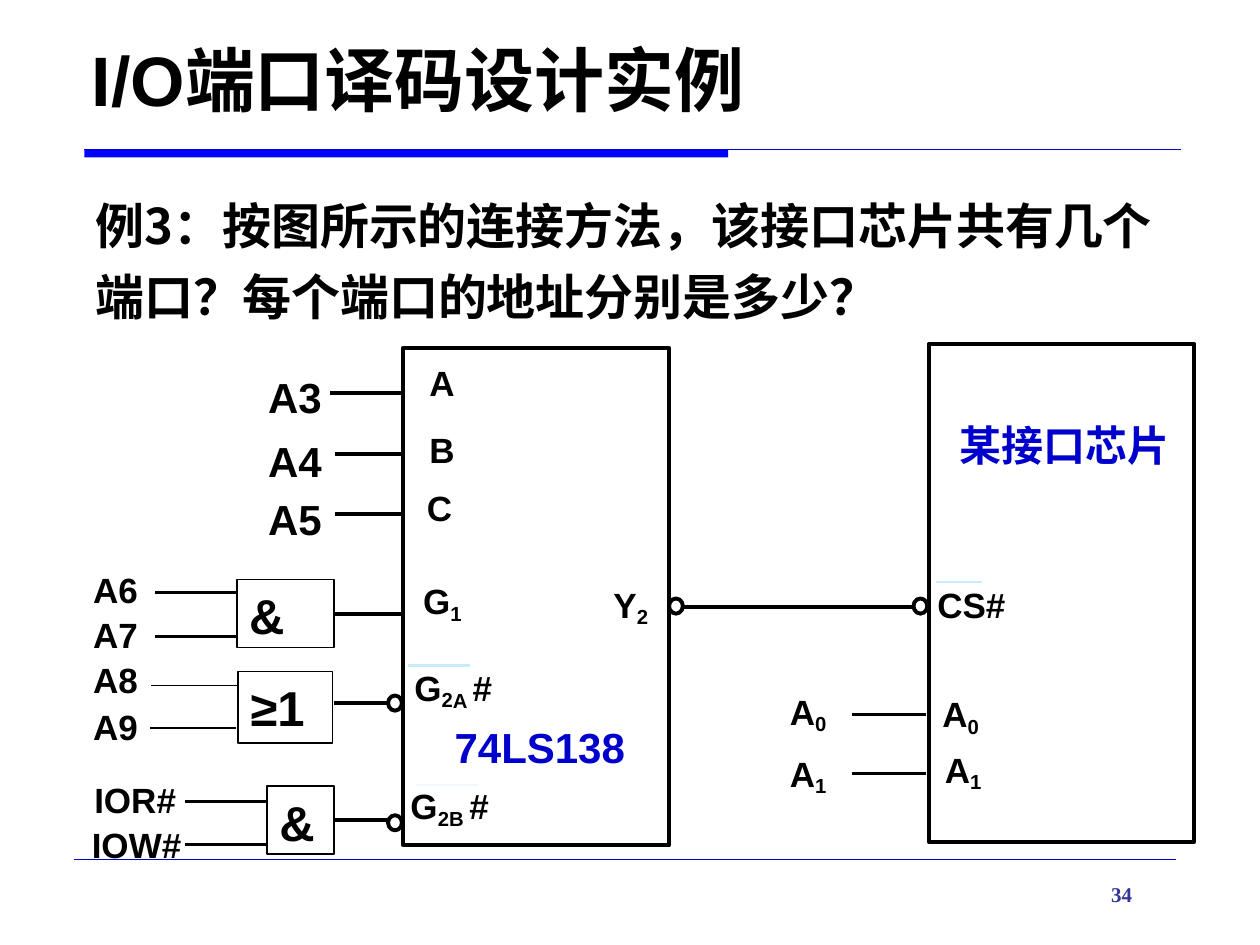
from typing import NamedTuple

from lxml.etree import SubElement
from pptx import Presentation
from pptx.dml.color import RGBColor
from pptx.enum.shapes import MSO_CONNECTOR, MSO_SHAPE
from pptx.enum.text import MSO_ANCHOR as ANCHOR, MSO_AUTO_SIZE as AUTO, PP_ALIGN as ALIGN
from pptx.oxml.ns import qn
from pptx.util import Inches, Pt

COLORS = {"ink": "000000", "bar": "0000FF", "blue": "0000CC", "page": "333399",
          "pale": "C9EAFF", "faint": "F0F8FE"}
CJK = "Noto Sans CJK JP"
SERIF = "Times New Roman"

prs = Presentation()
prs.slide_width, prs.slide_height = Inches(10), Inches(7.5)
COL, ROW = prs.slide_width / 100, prs.slide_height / 75
slide = prs.slides.add_slide(prs.slide_layouts[6])


class Run(NamedTuple):
    text: str
    base: int = 0
    font: str = "Arial"


class Label(NamedTuple):
    """Text at a column and row of the grid."""
    x: float
    y: float
    w: float
    h: float
    runs: tuple[Run, ...]
    size: float = 20
    color: str = "ink"
    wrap: bool = False
    auto: AUTO = AUTO.SHAPE_TO_FIT_TEXT
    anchor: ANCHOR = ANCHOR.TOP
    align: ALIGN = ALIGN.LEFT
    spacing: float = 1.0


class Block(NamedTuple):
    x: float
    y: float
    w: float
    h: float
    weight: float = 2.25
    symbol: str = ""
    kind: MSO_SHAPE = MSO_SHAPE.RECTANGLE


class Wire(NamedTuple):
    x1: float
    x2: float
    y: float
    weight: float = 2.25
    color: str = "ink"


def rgb(name: str) -> RGBColor:
    return RGBColor.from_string(COLORS[name])


def grid(x: float, y: float, w: float, h: float) -> tuple[int, ...]:
    return tuple(round(v) for v in (x * COL, y * ROW, w * COL, h * ROW))


def write(tf, label: Label) -> None:
    for name, value in {"word_wrap": label.wrap, "auto_size": label.auto,
                        "vertical_anchor": label.anchor}.items():
        setattr(tf, name, value)
    p = tf.paragraphs[0]
    p.alignment, p.line_spacing = label.align, label.spacing
    for run in label.runs:
        r = p.add_run()
        r.text = run.text
        for name, value in {"size": Pt(label.size), "bold": True, "name": run.font}.items():
            setattr(r.font, name, value)
        r.font.color.rgb = rgb(label.color)
        rpr = r._r.get_or_add_rPr()
        SubElement(rpr, qn("a:ea")).set("typeface", CJK)
        if run.base:
            rpr.set("baseline", str(run.base * 1000))


def draw_label(label: Label) -> None:
    sp = slide.shapes.add_textbox(*grid(label.x, label.y, label.w, label.h))
    write(sp.text_frame, label)


def draw_block(b: Block):
    sp = slide.shapes.add_shape(b.kind, *grid(b.x, b.y, b.w, b.h))
    sp.shadow.inherit = False
    sp.fill.background()
    sp.line.color.rgb, sp.line.width = rgb("ink"), Pt(b.weight)
    if b.symbol:
        write(sp.text_frame, Label(b.x, b.y, b.w, b.h, (Run(b.symbol),), 28,
                                   wrap=True, auto=AUTO.NONE))
    return sp


def draw_wire(w: Wire, source=None) -> None:
    """Horizontal line, joined to the right side of source if given."""
    x1, y, x2, _ = grid(w.x1, w.y, w.x2, 0)
    c = slide.shapes.add_connector(MSO_CONNECTOR.STRAIGHT, x1, y, x2, y)
    c.line.color.rgb, c.line.width = rgb(w.color), Pt(w.weight)
    SubElement(c._element.spPr, qn("a:effectLst"))
    if source is not None:
        c.begin_connect(source, 3)


def pin(text: str, x: float, y: float, w: float, *subs: Run, tail: str = "") -> Label:
    return Label(x, y, w, 4.4, (Run(text), *subs, *([Run(tail)] if tail else [])))


def bubble(x: float, y: float) -> Block:
    return Block(x, y, 1.1, 1.2, kind=MSO_SHAPE.OVAL)


DECODER = Block(32, 27.6, 21.1, 39.5)
INTERFACE = Block(73.7, 27.3, 21.1, 39.5)
AND_ADDRESS = Block(18.8, 46, 7.7, 5.4, 1, "&")
OR_ADDRESS = Block(18.9, 53.3, 7.5, 5.7, 1, "≥1")
AND_CONTROL = Block(21.2, 62.4, 5.3, 5.4, 1, "&")
BUBBLES = [bubble(53.1, 47.5), bubble(72.5, 47.5), bubble(30.8, 55.2), bubble(30.8, 64.7)]

WIRES = [
    Wire(5.9, 93.3, 68.2, 0.25, "blue"),
    Wire(26.2, 32, 31.2), Wire(26.6, 32, 36), Wire(26.6, 32, 40.8),
    Wire(54.3, 72.6, 48.2), Wire(26.5, 30.8, 55.8),
    Wire(12.3, 18.9, 47, 1.5), Wire(12.3, 18.9, 50.5, 1.5),
    Wire(12, 18.8, 54.4, 1), Wire(11.9, 18.7, 57.8, 1),
    Wire(14.7, 21.3, 63.6, 1.5), Wire(14.7, 21.3, 67, 1.5),
    Wire(67.6, 73.5, 56.7, 1.5), Wire(67.6, 73.5, 61.4, 1.5),
    Wire(33, 37.9, 62.3, 1.5, "faint"), Wire(32.4, 37.3, 52.8, 1.5, "pale"),
    Wire(74.3, 77.9, 46.2, 1.5, "pale"),
]

ZERO, ONE, TWO = (Run(digit, -18) for digit in "012")
LABELS = [
    Label(6.3, 2.5, 76.8, 7.4, (Run("I/O"), Run("端口译码设计实例", font=SERIF)), 40,
          wrap=True, auto=AUTO.NONE, anchor=ANCHOR.MIDDLE),
    Label(6.6, 14.1, 87.9, 12.3,
          (Run("例3：按图所示的连接方法，该接口芯片共有几个端口？每个端口的地址分别是多少？", font=CJK),),
          28, wrap=True, spacing=1.2),
    Label(87.2, 69.5, 5, 3, (Run("34", font=SERIF),), 12, "page", wrap=True),
    Label(35.1, 56.8, 15.7, 5.1, (Run("74LS138"),), 24, "blue"),
    Label(75, 32.8, 18.9, 5.1, (Run("某接口芯片"),), 24, "blue", align=ALIGN.CENTER),
    *(Label(20.3, y, 6.3, 5.1, (Run(name),), 24)
      for name, y in (("A3", 29), ("A4", 34.1), ("A5", 38.7))),
    *(pin(name, 6.4, y, 5.6)
      for name, y in (("A6", 44.6), ("A7", 48.2), ("A8", 51.8), ("A9", 55.5))),
    pin("IOR#", 6.5, 61.3, 8.6), pin("IOW#", 6.3, 64.9, 9.2),
    pin("A", 33.1, 28.2, 4.1), pin("B", 33.1, 33.5, 4.1), pin("C", 32.9, 38.1, 4.1),
    pin("G", 32.6, 45.5, 5.2, Run("1", -20)),
    pin("G", 31.9, 52.4, 8.6, TWO, Run("A ", -20), tail="#"),
    pin("G", 31.6, 61.8, 8.7, TWO, Run("B ", -20), tail="#"),
    pin("Y", 47.7, 45.8, 4.9, TWO), pin("CS#", 73.4, 45.8, 7.5),
    pin("A", 73.8, 54.5, 5.1, ZERO), pin("A", 74, 58.9, 5.1, ONE),
    pin("A", 61.7, 54.3, 5.1, ZERO), pin("A", 61.7, 59.2, 5.1, ONE),
]


def draw_title_rule() -> None:
    sp = slide.shapes.add_shape(MSO_SHAPE.RECTANGLE, *grid(6.7, 11.9, 51.1, 0.6))
    sp.shadow.inherit = False
    sp.fill.solid()
    sp.fill.fore_color.rgb = rgb("bar")
    sp.line.fill.background()
    draw_wire(Wire(6.7, 93.7, 11.9, 0.5, "blue"))


def main() -> None:
    draw_title_rule()
    for block in (DECODER, INTERFACE, OR_ADDRESS, *BUBBLES):
        draw_block(block)
    for gate, end in ((AND_ADDRESS, DECODER.x), (AND_CONTROL, BUBBLES[-1].x)):
        middle = gate.y + gate.h / 2
        draw_wire(Wire(gate.x + gate.w, end, middle), draw_block(gate))
    for wire in WIRES:
        draw_wire(wire)
    for label in LABELS:
        draw_label(label)
    prs.save("out.pptx")


if __name__ == "__main__":
    main()
